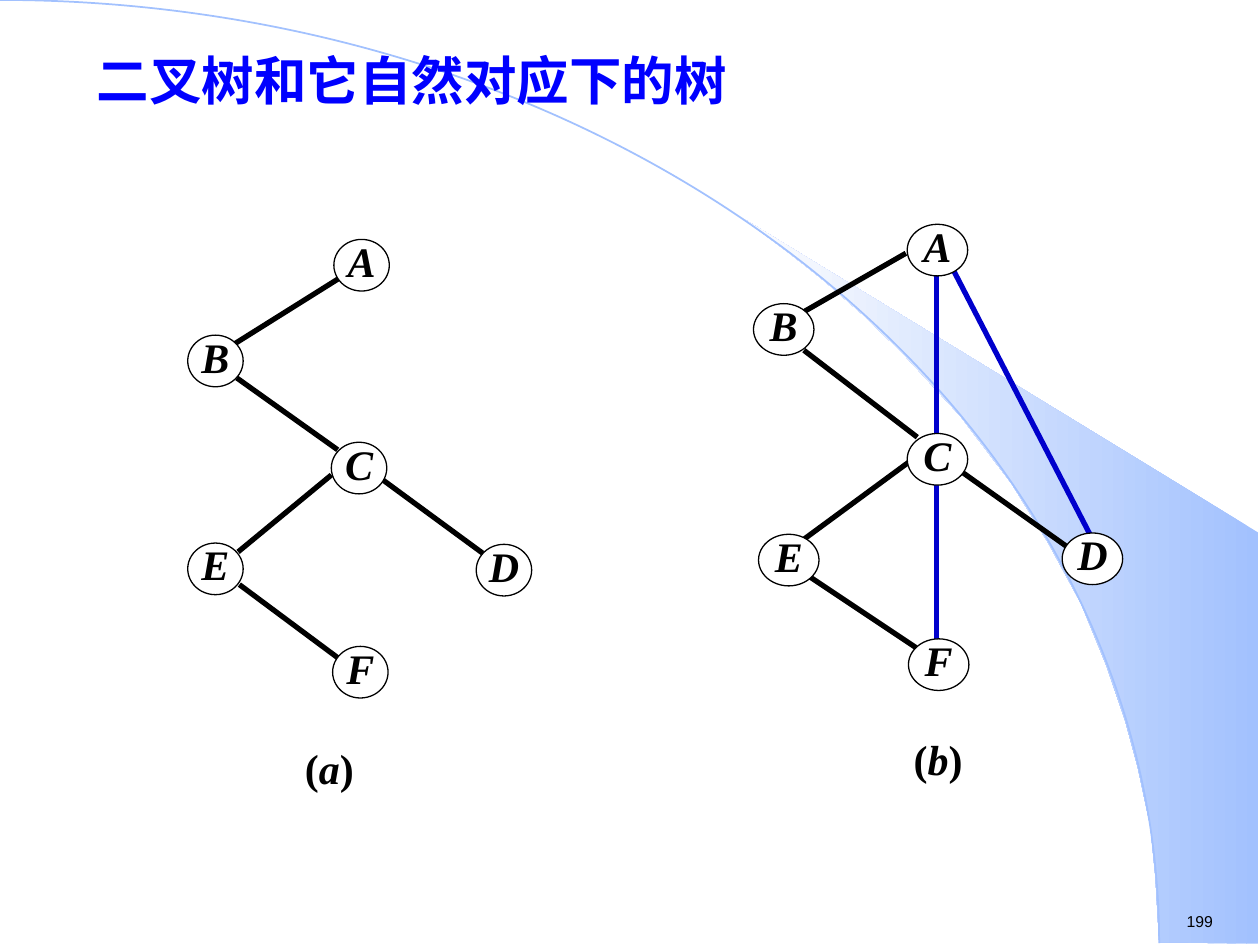
from lxml.etree import SubElement
from pptx import Presentation
from pptx.dml.color import RGBColor
from pptx.enum.shapes import MSO_CONNECTOR, MSO_SHAPE
from pptx.enum.text import MSO_ANCHOR, PP_ALIGN
from pptx.oxml.ns import qn
from pptx.util import Inches, Pt

BLACK = RGBColor(0x00, 0x00, 0x00)
WHITE = RGBColor(0xFF, 0xFF, 0xFF)
NEAR_WHITE = RGBColor(0xFE, 0xFE, 0xFE)
PALE_BLUE = RGBColor(0xA2, 0xC1, 0xFE)
EDGE_BLUE = RGBColor(0x00, 0x00, 0xCC)
TITLE_BLUE = RGBColor(0x00, 0x00, 0xFF)
SERIF = "Times New Roman"

SWOOSH = [
    (9.2, 7.48), (9.99, 7.49), (9.99, 4.23), (5.89, 1.73), (6.24, 1.99),
    (6.53, 2.22), (6.85, 2.5), (7.16, 2.8), (7.62, 3.3), (8.03, 3.84),
    (8.32, 4.31), (8.58, 4.79), (8.78, 5.28), (8.93, 5.72), (9.03, 6.09),
    (9.13, 6.56), (9.17, 6.96),
]

BINARY_NODES = {
    "A": (2.65, 1.9), "B": (1.49, 2.66), "C": (2.63, 3.51),
    "D": (3.78, 4.32), "E": (1.49, 4.31), "F": (2.64, 5.13),
}
BINARY_EDGES = [
    (2.69, 2.21, 1.86, 2.73), (1.88, 3, 2.68, 3.57), (2.63, 3.77, 1.89, 4.38),
    (3.04, 3.81, 3.83, 4.39), (1.9, 4.64, 2.68, 5.22),
]

NATURAL_NODES = {
    "A": (7.2, 1.78), "B": (5.98, 2.41), "C": (7.2, 3.44),
    "D": (8.43, 4.23), "E": (6.02, 4.24), "F": (7.21, 5.07),
}
NATURAL_EDGES = [
    (7.19, 2.01, 6.37, 2.48), (6.38, 2.78, 7.28, 3.47), (7.21, 3.67, 6.38, 4.28),
    (7.64, 3.75, 8.47, 4.34), (6.43, 4.58, 7.27, 5.14),
]
ADDED_EDGES = [
    (7.57, 2.15, 8.66, 4.26), (7.43, 3.83, 7.43, 5.08), (7.43, 2.16, 7.43, 3.46),
]


def add_span(para, text, size, color, font=SERIF, bold=True, italic=False):
    """Add one formatted run to a paragraph."""
    span = para.add_run()
    span.text = text
    span.font.name = font
    span.font.size = Pt(size)
    span.font.bold = bold
    span.font.italic = italic
    span.font.color.rgb = color


def add_label_shape(shapes, kind, left, top, width, height, spans):
    """Add a white shape with centred (text, italic) spans."""
    shape = shapes.add_shape(
        kind, Inches(left), Inches(top), Inches(width), Inches(height)
    )
    shape.shadow.inherit = False
    shape.fill.solid()
    shape.fill.fore_color.rgb = WHITE
    shape.line.fill.background()
    frame = shape.text_frame
    frame.margin_left = frame.margin_right = frame.margin_top = frame.margin_bottom = 0
    frame.vertical_anchor = MSO_ANCHOR.MIDDLE
    para = frame.paragraphs[0]
    para.alignment = PP_ALIGN.CENTER
    para.line_spacing = 0.8
    for text, italic in spans:
        add_span(para, text, 24, BLACK, italic=italic)
    return shape


def add_edge(shapes, ends, color):
    """Add a straight tree edge."""
    edge = shapes.add_connector(MSO_CONNECTOR.STRAIGHT, *[Inches(end) for end in ends])
    edge.line.color.rgb = color
    edge.line.width = Pt(3)
    SubElement(edge._element.spPr, qn("a:effectLst"))


def add_tree(page, nodes, node_width, edges, added_edges=()):
    """Add a grouped tree with its nodes above its edges."""
    shapes = page.shapes.add_group_shape().shapes
    for ends in added_edges:
        add_edge(shapes, ends, EDGE_BLUE)
    for ends in edges:
        add_edge(shapes, ends, BLACK)
    for name, (left, top) in nodes.items():
        node = add_label_shape(
            shapes, MSO_SHAPE.OVAL, left, top, node_width, 0.41, [(name, True)]
        )
        node.line.color.rgb = BLACK
        node.line.width = Pt(0.75)


def add_caption(page, letter, left, top):
    """Add a bracketed letter under a tree."""
    spans = [("(", False), (letter, True), (")", False)]
    add_label_shape(page.shapes, MSO_SHAPE.RECTANGLE, left, top, 0.71, 0.36, spans)


def add_text(page, text, left, top, width, height, size, color, **style):
    """Add a single-line text box."""
    box = page.shapes.add_textbox(
        Inches(left), Inches(top), Inches(width), Inches(height)
    )
    box.text_frame.word_wrap = True
    add_span(box.text_frame.paragraphs[0], text, size, color, **style)


def add_background(page):
    """Add the gradient swoosh and the long arc."""
    points = [(Inches(x), Inches(y)) for x, y in SWOOSH]
    builder = page.shapes.build_freeform(*points[0])
    builder.add_line_segments(points[1:], close=True)
    swoosh = builder.convert_to_shape()
    swoosh.shadow.inherit = False
    swoosh.line.fill.background()
    swoosh.fill.gradient()
    swoosh.fill.gradient_angle = 180
    for stop, color in zip(swoosh.fill.gradient_stops, (PALE_BLUE, NEAR_WHITE)):
        stop.color.rgb = color

    arc = page.shapes.add_shape(
        MSO_SHAPE.ARC, Inches(-9.2), Inches(0), Inches(18.4), Inches(14.97)
    )
    arc.shadow.inherit = False
    arc.fill.background()
    arc.line.color.rgb = PALE_BLUE
    arc.line.width = Pt(1)


def main():
    """Build and save the slide."""
    deck = Presentation()
    deck.slide_width = Inches(10)
    deck.slide_height = Inches(7.5)
    page = deck.slides.add_slide(deck.slide_layouts[6])
    add_background(page)
    add_text(page, "199", 9.32, 7.19, 0.66, 0.25, 9, BLACK, font="Arial", bold=False)
    add_caption(page, "a", 2.26, 5.95)
    add_tree(page, BINARY_NODES, 0.44, BINARY_EDGES)
    add_tree(page, NATURAL_NODES, 0.48, NATURAL_EDGES, ADDED_EDGES)
    add_caption(page, "b", 7.09, 5.88)
    add_text(page, "二叉树和它自然对应下的树", 0.67, 0.33, 7.17, 0.6, 30, TITLE_BLUE)
    deck.save("out.pptx")


if __name__ == "__main__":
    main()
